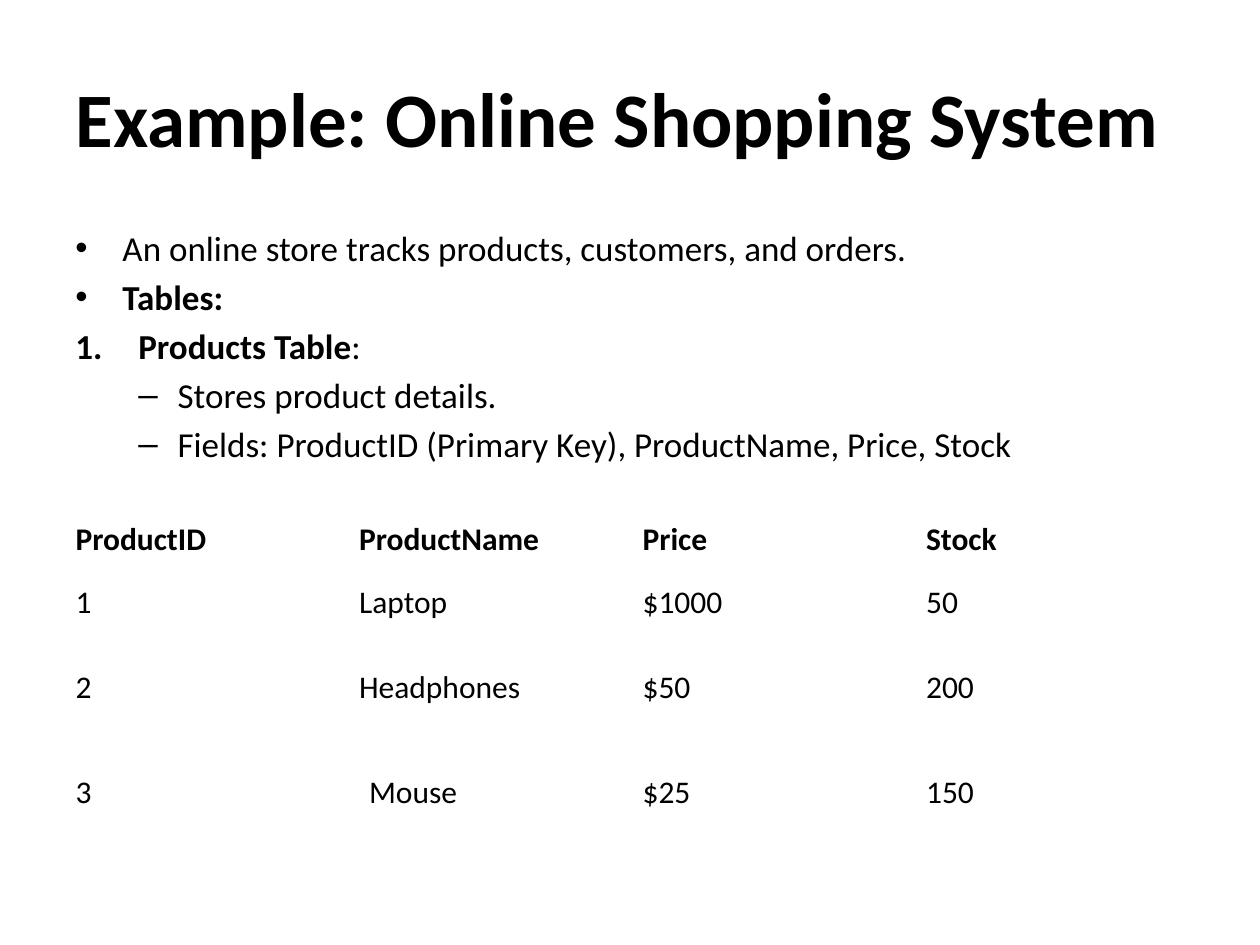
from dataclasses import dataclass

import pptx
import pptx.dml.color
import pptx.enum.text
import pptx.oxml.ns
import pptx.slide
import pptx.text.text
import pptx.util
from lxml import etree

Cm = pptx.util.Cm
Pt = pptx.util.Pt


@dataclass(frozen=True)
class Theme:
    font: str = "Calibri"
    ink: pptx.dml.color.RGBColor = pptx.dml.color.RGBColor(0, 0, 0)
    title_size: int = 44
    body_size: int = 20
    table_size: int = 18
    body_gap: int = 4


@dataclass(frozen=True)
class ListStyle:
    level: int
    margin: float
    hanging: float
    marker: str
    attributes: dict[str, str]


@dataclass(frozen=True)
class ListItem:
    style: ListStyle
    runs: tuple[tuple[str, bool], ...]


@dataclass(frozen=True)
class TableStrip:
    """One separate single-row table; lengths are centimetres."""
    top: float
    height: float
    texts: tuple[str, ...]
    bold: bool = False
    first_column_extra: float = 0


THEME = Theme()
LEFT, WIDTH = 1.27, 22.86

BULLET = ListStyle(0, 0.95, 0.95, "buChar", {"char": "•"})
NUMBER = ListStyle(0, 1.27, 1.27, "buAutoNum", {"type": "arabicPeriod"})
DASH = ListStyle(1, 2.06, 0.79, "buChar", {"char": "–"})

ITEMS = (
    ListItem(BULLET, (("An online store tracks products, customers, and orders.", False),)),
    ListItem(BULLET, (("Tables:", True),)),
    ListItem(NUMBER, (("Products Table", True), (":", False))),
    ListItem(DASH, (("Stores product details.", False),)),
    ListItem(DASH, (("Fields: ProductID (Primary Key), ProductName, Price, Stock", False),)),
)

STRIPS = (
    TableStrip(10.36, 1.02, ("ProductID", "ProductName", "Price", "Stock"), bold=True),
    TableStrip(11.63, 1.02, ("1", "Laptop", "$1000", "50")),
    TableStrip(13.34, 1.02, ("2", "Headphones", "$50", "200")),
    TableStrip(15.24, 1.47, ("3", "Mouse", "$25", "150"), first_column_extra=0.2),
)


def add_text(paragraph: pptx.text.text._Paragraph, text: str, *,
             size: int, bold: bool = False) -> None:
    run = paragraph.add_run()
    run.text = text
    run.font.name = THEME.font
    run.font.size = Pt(size)
    run.font.bold = bold
    run.font.color.rgb = THEME.ink


def set_list_style(paragraph: pptx.text.text._Paragraph, style: ListStyle) -> None:
    paragraph.level = style.level
    properties = paragraph._p.get_or_add_pPr()
    properties.set("marL", str(Cm(style.margin)))
    properties.set("indent", str(-Cm(style.hanging)))
    if style.marker == "buChar":
        etree.SubElement(properties, pptx.oxml.ns.qn("a:buFont"), typeface="Arial")
    etree.SubElement(properties, pptx.oxml.ns.qn(f"a:{style.marker}"), style.attributes)


def add_title(slide: pptx.slide.Slide, text: str) -> None:
    title = slide.shapes.title
    title.left, title.top = Cm(LEFT), Cm(0.76)
    title.width, title.height = Cm(WIDTH), Cm(3.18)
    title.text_frame.vertical_anchor = pptx.enum.text.MSO_ANCHOR.MIDDLE
    paragraph = title.text_frame.paragraphs[0]
    paragraph.alignment = pptx.enum.text.PP_ALIGN.LEFT
    add_text(paragraph, text, size=THEME.title_size, bold=True)


def add_list(slide: pptx.slide.Slide, items: tuple[ListItem, ...]) -> None:
    box = slide.shapes.add_textbox(Cm(LEFT), Cm(4.45), Cm(WIDTH), Cm(12.57))
    frame = box.text_frame
    frame.word_wrap = True
    for index, item in enumerate(items):
        paragraph = frame.add_paragraph() if index else frame.paragraphs[0]
        set_list_style(paragraph, item.style)
        paragraph.space_before = Pt(THEME.body_gap if index else 0)
        for text, bold in item.runs:
            add_text(paragraph, text, size=THEME.body_size, bold=bold)


def add_strip(slide: pptx.slide.Slide, strip: TableStrip) -> None:
    count = len(strip.texts)
    frame = slide.shapes.add_table(1, count, Cm(LEFT), Cm(strip.top),
                                   Cm(WIDTH), Cm(strip.height))
    table = frame.table
    table.first_row = table.horz_banding = False
    table.columns[0].width += Cm(strip.first_column_extra)
    table.columns[1].width -= Cm(strip.first_column_extra)
    for column, text in enumerate(strip.texts):
        cell = table.cell(0, column)
        cell.fill.background()
        cell.vertical_anchor = pptx.enum.text.MSO_ANCHOR.MIDDLE
        add_text(cell.text_frame.paragraphs[0], text,
                 size=THEME.table_size, bold=strip.bold)


def main() -> None:
    presentation = pptx.Presentation()
    presentation.slide_width, presentation.slide_height = Cm(25.4), Cm(19.05)
    slide = presentation.slides.add_slide(presentation.slide_layouts[5])
    add_title(slide, "Example: Online Shopping System")
    add_list(slide, ITEMS)
    for strip in STRIPS:
        add_strip(slide, strip)
    presentation.save("out.pptx")


if __name__ == "__main__":
    main()
